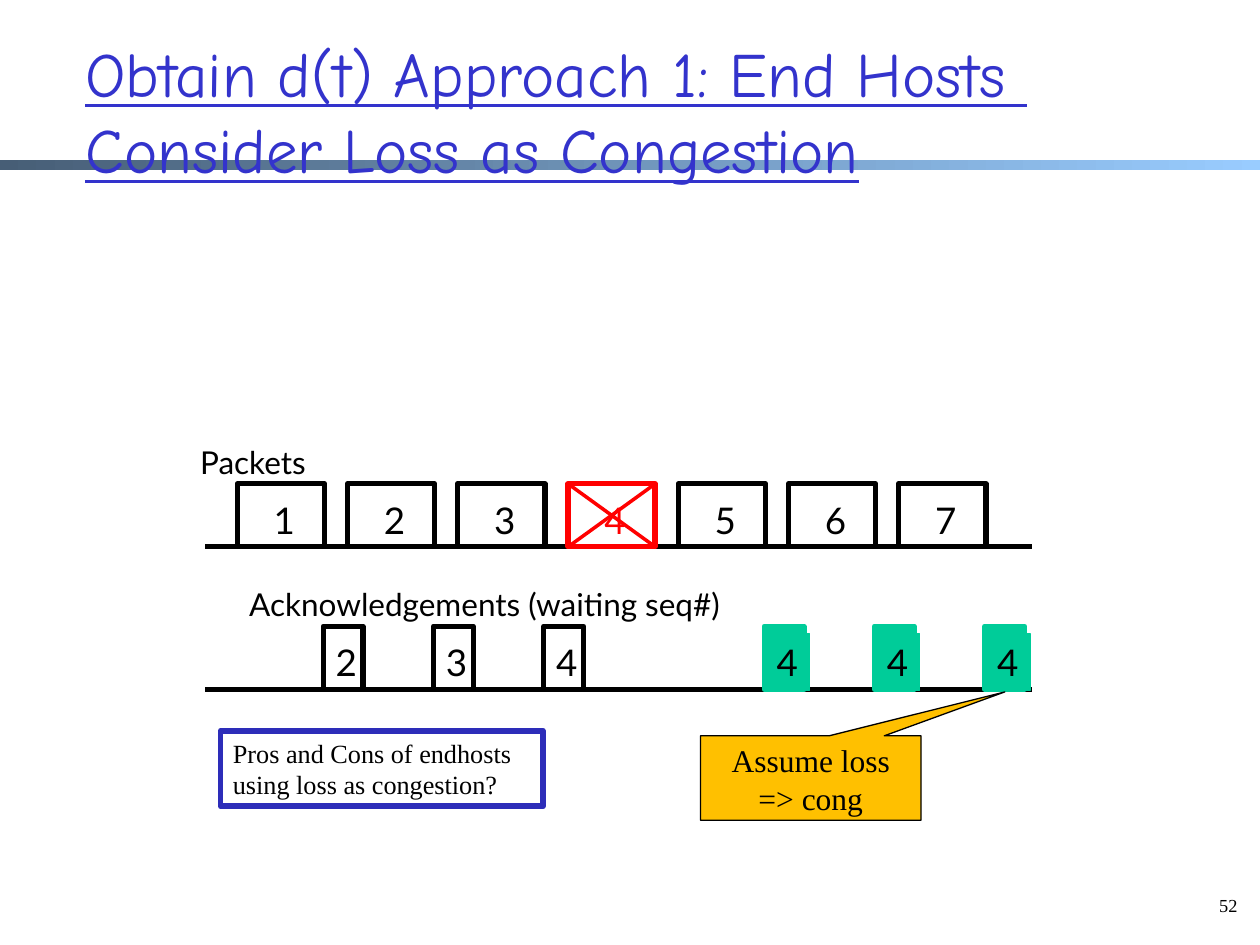
from collections import namedtuple
from lxml import etree
from pptx import Presentation
from pptx.dml.color import RGBColor
from pptx.enum.shapes import MSO_CONNECTOR as Link, MSO_SHAPE as Preset
from pptx.enum.text import MSO_ANCHOR as Anchor, PP_ALIGN as Align
from pptx.oxml.ns import qn
from pptx.util import Inches, Pt

Box = namedtuple("Box", "left top width height")

COLORS = {
    "ink": "000000", "title": "3333CC", "lost": "FF0000", "duplicate": "00CC99",
    "callout": "FFC000", "question": "2D2DB9", "bar_dark": "475E76", "bar_light": "99CCFF",
}
SANS, SERIF, HAND = "Lato", "Times New Roman", "Comic Neue"
SLIDE = Box(0, 0, 10, 7.5)
COLUMN = 0.875
SLOTS = 7.5
PACKET_START, PACKET_WIDTH = 0.29, 0.79
ACK_START, ACK_WIDTH = 1.07, 0.36
NUMBER_WIDTH, NUMBER_HEIGHT = 0.36, 0.45


def color(name):
    return RGBColor.from_string(COLORS[name])


def inches(box):
    return [Inches(length) for length in box]


def write(frame, text, size, font, ink="ink", align=Align.LEFT, wrap=True,
          anchor=Anchor.TOP, underline=None):
    frame.word_wrap = wrap
    frame.vertical_anchor = anchor
    paragraph = frame.paragraphs[0]
    paragraph.text = text
    paragraph.alignment = align
    paragraph.font.size = Pt(size)
    paragraph.font.name = font
    paragraph.font.underline = underline
    paragraph.font.color.rgb = color(ink)


def add_text(slide, box, text, size, font, **style):
    frame = slide.shapes.add_textbox(*inches(box)).text_frame
    write(frame, text, size, font, **style)


def add_block(slide, box, fill=None, line=None, weight=3, preset=Preset.RECTANGLE):
    block = slide.shapes.add_shape(preset, *inches(box))
    block.shadow.inherit = False
    if fill:
        block.fill.solid()
        block.fill.fore_color.rgb = color(fill)
    else:
        block.fill.background()
    if line:
        block.line.color.rgb = color(line)
        block.line.width = Pt(weight)
    else:
        block.line.fill.background()
    return block


def add_line(slide, start, end, ink="ink", weight=3):
    line = slide.shapes.add_connector(Link.STRAIGHT, *inches(start + end))
    line.line.color.rgb = color(ink)
    line.line.width = Pt(weight)
    etree.SubElement(line._element.spPr, qn("a:effectLst"))


def add_title(slide, box):
    bar = add_block(slide, Box(0, 1.27, SLIDE.width, 0.08), fill="bar_dark")
    bar.fill.gradient()
    bar.fill.gradient_angle = 0
    for stop, name in zip(bar.fill.gradient_stops, ("bar_dark", "bar_light")):
        stop.color.rgb = color(name)
    add_text(slide, box, "Obtain d(t) Approach 1: End Hosts \vConsider Loss as Congestion",
             36, HAND, ink="title", anchor=Anchor.MIDDLE, underline=True)


def add_rail(slide, box, label, label_offset):
    add_line(slide, (box.left, box.top + box.height), (box.left + box.width, box.top + box.height))
    add_text(slide, Box(box.left + label_offset, box.top - 0.375, 4.07, 0.4),
             label, 18, SANS, wrap=False)


def add_packets(slide, box):
    add_rail(slide, box, "Packets", -0.14)
    for slot in range(7):
        number = slot + 1
        ink = "lost" if number == 4 else "ink"
        packet = Box(box.left + (PACKET_START + slot) * COLUMN, box.top,
                     PACKET_WIDTH * COLUMN, box.height)
        add_block(slide, packet, line=ink)
        add_text(slide, Box(packet.left + 0.19, packet.top + 0.06, NUMBER_WIDTH, NUMBER_HEIGHT),
                 str(number), 21, SANS, ink=ink, wrap=False)
        if ink == "lost":
            right, bottom = packet.left + packet.width, packet.top + packet.height
            add_line(slide, (packet.left, bottom), (right, packet.top), "lost", 2)
            add_line(slide, (packet.left, packet.top), (right, bottom), "lost", 2)


def add_acks(slide, box):
    add_rail(slide, box, "Acknowledgements (waiting seq#)", 0.25)
    for slot, number in {0: 2, 1: 3, 2: 4, 4: 4, 5: 4, 6: 4}.items():
        left = box.left + (ACK_START + slot) * COLUMN
        duplicate = "duplicate" if slot > 2 else None
        add_block(slide, Box(left, box.top, ACK_WIDTH * COLUMN, box.height),
                  fill=duplicate, line=duplicate or "ink")
        tag = Box(left, box.top + 0.06, NUMBER_WIDTH, NUMBER_HEIGHT)
        if duplicate:
            add_block(slide, tag, fill=duplicate, line=duplicate, weight=0.75)
        add_text(slide, tag, str(number), 21, SANS, wrap=False)


def add_callout(slide, box):
    callout = add_block(slide, box, "callout", "ink", 0.75, Preset.RECTANGULAR_CALLOUT)
    callout.adjustments[0] = 0.88
    callout.adjustments[1] = -1.02
    frame = callout.text_frame
    frame.margin_left = frame.margin_right = Inches(0.07)
    frame.margin_top = frame.margin_bottom = Inches(0.04)
    write(frame, "Assume loss\v=> cong", 18, SERIF, align=Align.CENTER)


def add_question(slide, box):
    question = add_block(slide, box, line="question", weight=3.25)
    write(question.text_frame, "Pros and Cons of endhosts using loss as congestion?", 15, SERIF)


def main():
    deck = Presentation()
    deck.slide_width, deck.slide_height = Inches(SLIDE.width), Inches(SLIDE.height)
    slide = deck.slides.add_slide(deck.slide_layouts[6])
    add_title(slide, Box(0.58, 0.25, 8.77, 1.25))
    add_packets(slide, Box(1.63, 3.84, SLOTS * COLUMN, 0.5))
    add_acks(slide, Box(1.63, 4.97, SLOTS * COLUMN, 0.5))
    add_callout(slide, Box(5.56, 5.84, 2 * COLUMN, 0.67))
    add_question(slide, Box(1.75, 5.8, 2.56, 0.6))
    add_text(slide, Box(9.46, 7.05, 0.46, 0.38), "52", 10.5, SERIF, align=Align.RIGHT)
    deck.save("out.pptx")


if __name__ == "__main__":
    main()
